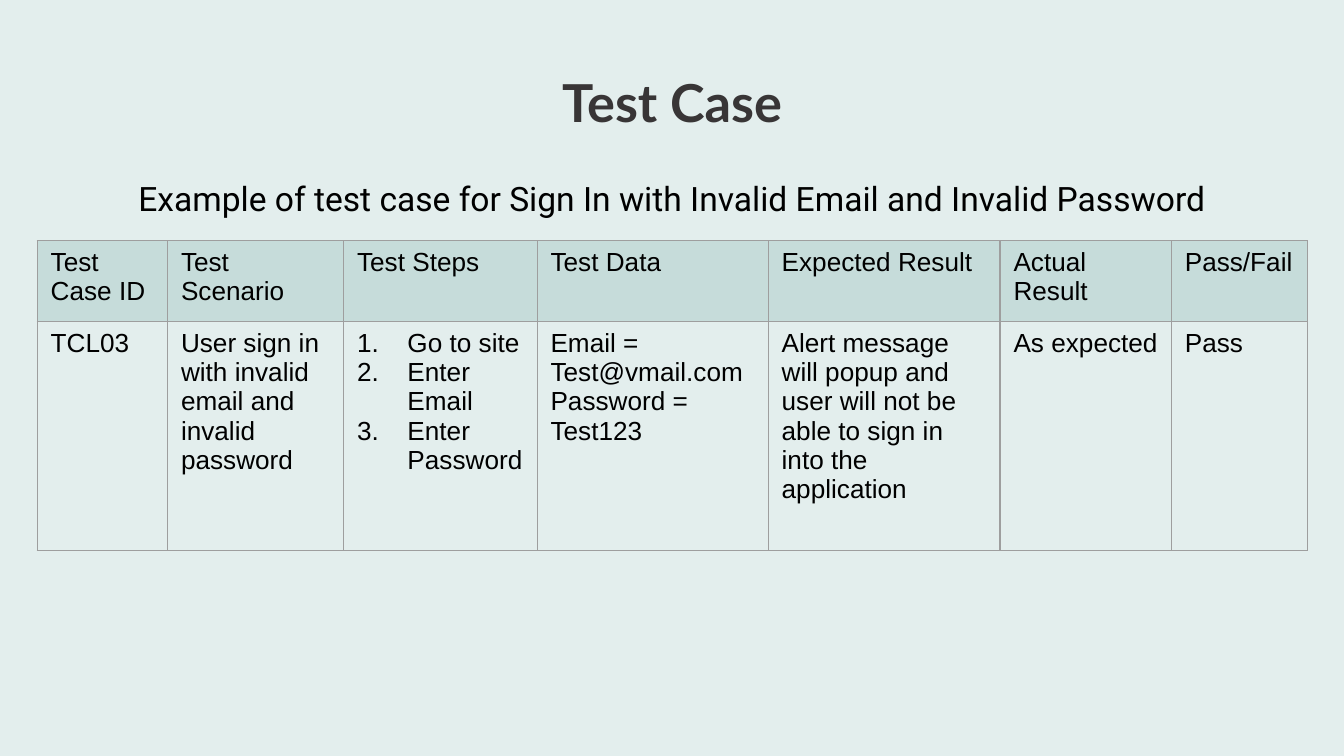
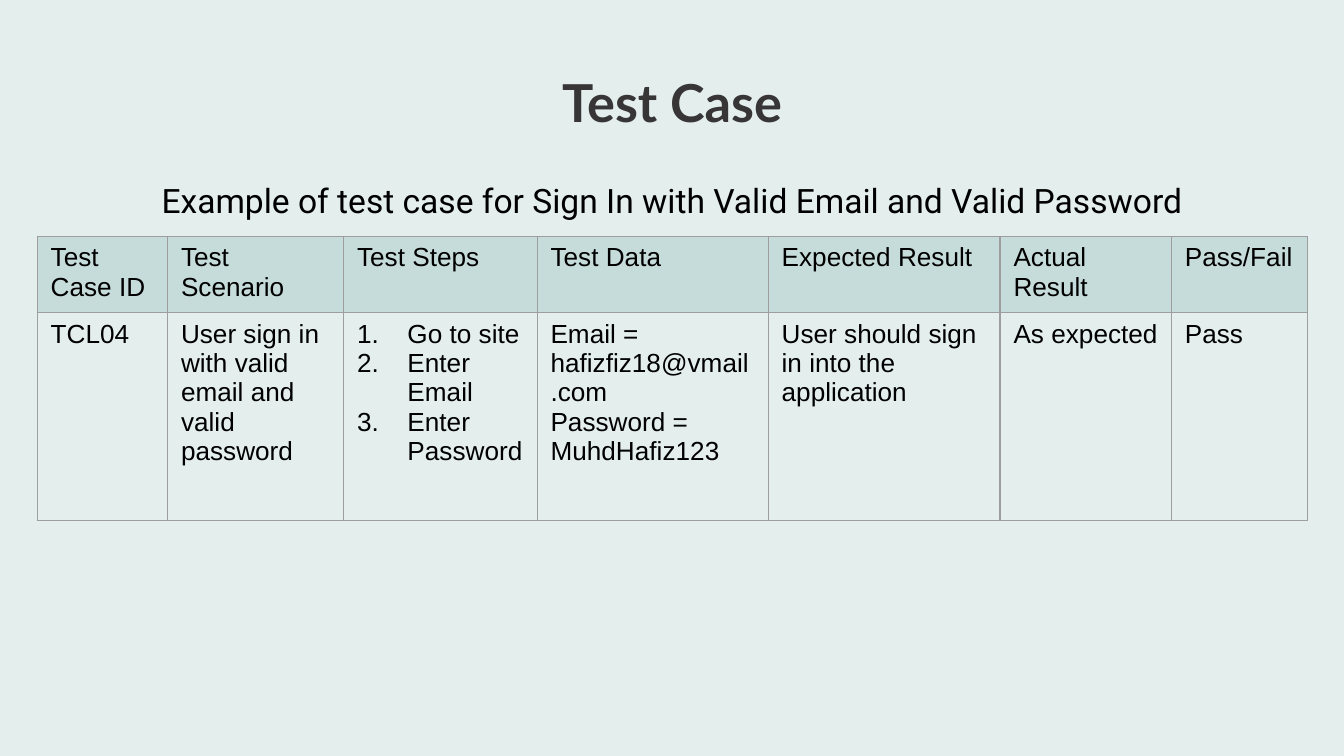
from lxml import etree
from pptx import Presentation, util as u
from pptx.dml.color import RGBColor
from pptx.enum import text
from pptx.oxml.ns import qn

COLOURS = {
    "background": "E3EEED",
    "title": "383536",
    "text": "000000",
    "header": "C6DCDA",
    "border": "9E9E9E",
}

presentation = Presentation()
presentation.slide_width = u.Inches(10)
presentation.slide_height = presentation.slide_width * 9 // 16

# Grid: one column or row is a hundredth of the slide
COLUMN = presentation.slide_width / 100
ROW = presentation.slide_height / 100
TABLE_LEFT, TABLE_WIDTH = 2.77, 94.5
COLUMN_WIDTHS = [9.7, 13.1, 14.4, 17.2, 17.25, 12.75, 10.1]
HEADERS = ["Test Case ID", "Test Scenario", "Test Steps", "Test Data",
           "Expected Result", "Actual Result", "Pass/Fail"]
STEPS = "Go to site\nEnter Email\nEnter Password"
STEPS_COLUMN = HEADERS.index("Test Steps")
STEP_INDENT = u.Pt(27)

TEST_CASES = [
    {
        "subtitle": "Example of test case for Sign In with Invalid Email and Invalid Password",
        "subtitle_top": 22.6, "subtitle_height": 23.3,
        "table_top": 31.85, "row_heights": [10.7, 30.25],
        "values": ["TCL03", "User sign in with invalid email and invalid password", STEPS,
                   "Email = Test@vmail.com\nPassword = Test123",
                   "Alert message will popup and user will not be able to sign in into the application",
                   "As expected", "Pass"],
    },
    {
        "subtitle": "Example of test case for Sign In with Valid Email and Valid Password",
        "subtitle_top": 22.95, "subtitle_height": 11.4,
        "table_top": 31.27, "row_heights": [9.7, 27.45],
        "values": ["TCL04", "User sign in with valid email and valid password", STEPS,
                   "Email = hafizfiz18@vmail.com\nPassword = MuhdHafiz123",
                   "User should sign in into the application",
                   "As expected", "Pass"],
    },
]


def write_text(frame, content, font_name, size, colour, bold=False, align=text.PP_ALIGN.LEFT):
    frame.word_wrap = True
    frame.text = content
    for paragraph in frame.paragraphs:
        paragraph.alignment = align
        for run in paragraph.runs:
            run.font.name = font_name
            run.font.size = u.Pt(size)
            run.font.bold = bold
            run.font.color.rgb = RGBColor.from_string(COLOURS[colour])
        # The paragraph mark takes the text size, so that rows keep their height
        etree.SubElement(paragraph._p, qn("a:endParaRPr"), sz=str(size * 100))


def add_heading(slide, left, top, width, height, *style):
    box = slide.shapes.add_textbox(int(left * COLUMN), int(top * ROW),
                                   int(width * COLUMN), int(height * ROW))
    write_text(box.text_frame, *style, align=text.PP_ALIGN.CENTER)
    return box.text_frame


for case in TEST_CASES:
    slide = presentation.slides.add_slide(presentation.slide_layouts[6])
    slide.background.fill.solid()
    slide.background.fill.fore_color.rgb = RGBColor.from_string(COLOURS["background"])

    # Title
    title = add_heading(slide, 7.85, 7.5, 84.3, 19.75, "Test Case", "Lato", 28, "title", True)
    title.margin_top = title.margin_bottom = u.Inches(0.1)

    # Test case table
    table = slide.shapes.add_table(
        2, len(HEADERS), int(TABLE_LEFT * COLUMN), int(case["table_top"] * ROW),
        int(TABLE_WIDTH * COLUMN), int(sum(case["row_heights"]) * ROW)).table
    table.first_row = table.horz_banding = False
    for column, width in zip(table.columns, COLUMN_WIDTHS):
        column.width = int(width * COLUMN)
    for row, height in zip(table.rows, case["row_heights"]):
        row.height = int(height * ROW)

    for row_index, values in enumerate([HEADERS, case["values"]]):
        for column_index, value in enumerate(values):
            cell = table.cell(row_index, column_index)
            write_text(cell.text_frame, value, "Arial", 14, "text")

            # Cell borders come before the fill
            properties = cell._tc.get_or_add_tcPr()
            for side in ("lnL", "lnR", "lnT", "lnB"):
                line = etree.SubElement(properties, qn(f"a:{side}"), w=str(u.Pt(0.75)))
                line_fill = etree.SubElement(line, qn("a:solidFill"))
                etree.SubElement(line_fill, qn("a:srgbClr"), val=COLOURS["border"])
            if row_index == 0:
                cell.fill.solid()
                cell.fill.fore_color.rgb = RGBColor.from_string(COLOURS["header"])
            else:
                cell.fill.background()

    # Numbered steps
    for paragraph in table.cell(1, STEPS_COLUMN).text_frame.paragraphs:
        properties = paragraph._p.get_or_add_pPr()
        properties.set("marL", str(STEP_INDENT))
        properties.set("indent", str(-STEP_INDENT))
        bullet_colour = etree.SubElement(properties, qn("a:buClr"))
        etree.SubElement(bullet_colour, qn("a:srgbClr"), val=COLOURS["text"])
        etree.SubElement(properties, qn("a:buFont"), typeface="Arial")
        etree.SubElement(properties, qn("a:buAutoNum"), type="arabicPeriod")

    # Subtitle
    subtitle = add_heading(slide, TABLE_LEFT, case["subtitle_top"], TABLE_WIDTH,
                           case["subtitle_height"], case["subtitle"], "Roboto", 18, "text")
    subtitle.auto_size = text.MSO_AUTO_SIZE.SHAPE_TO_FIT_TEXT

presentation.save("out.pptx")
